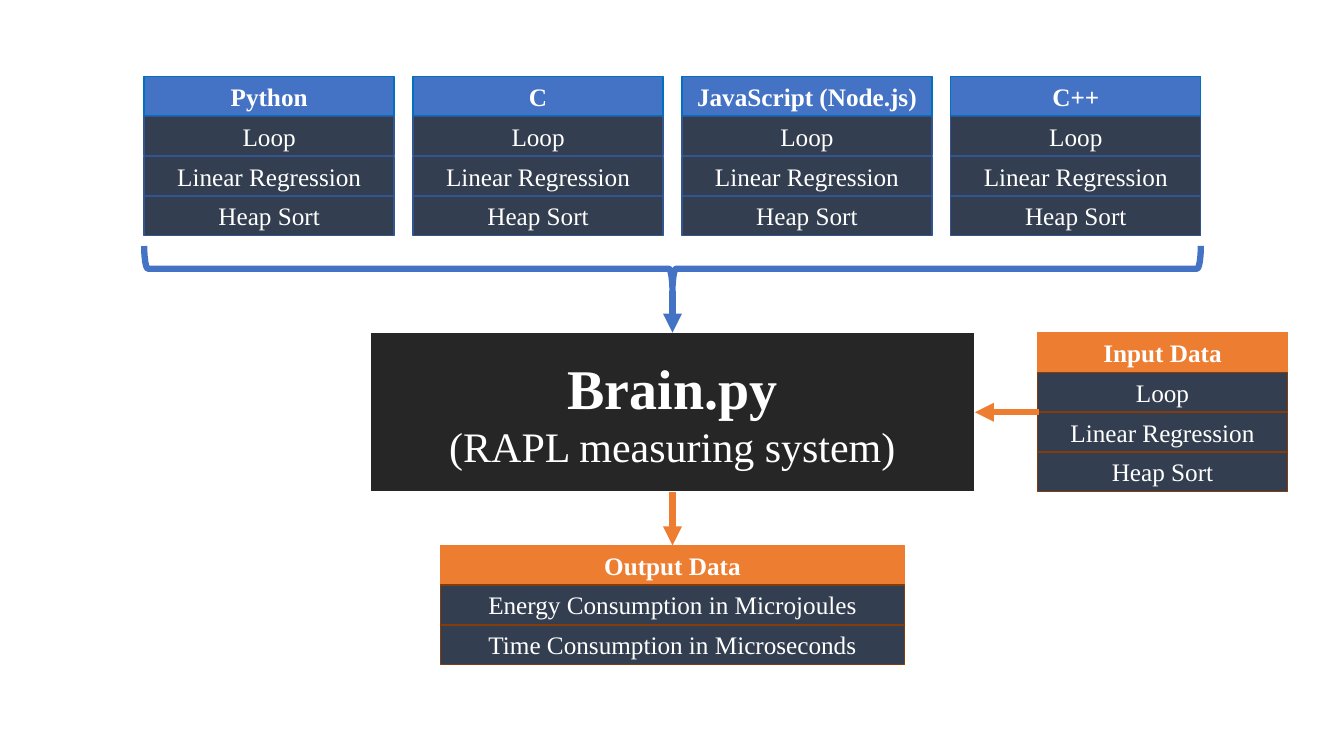
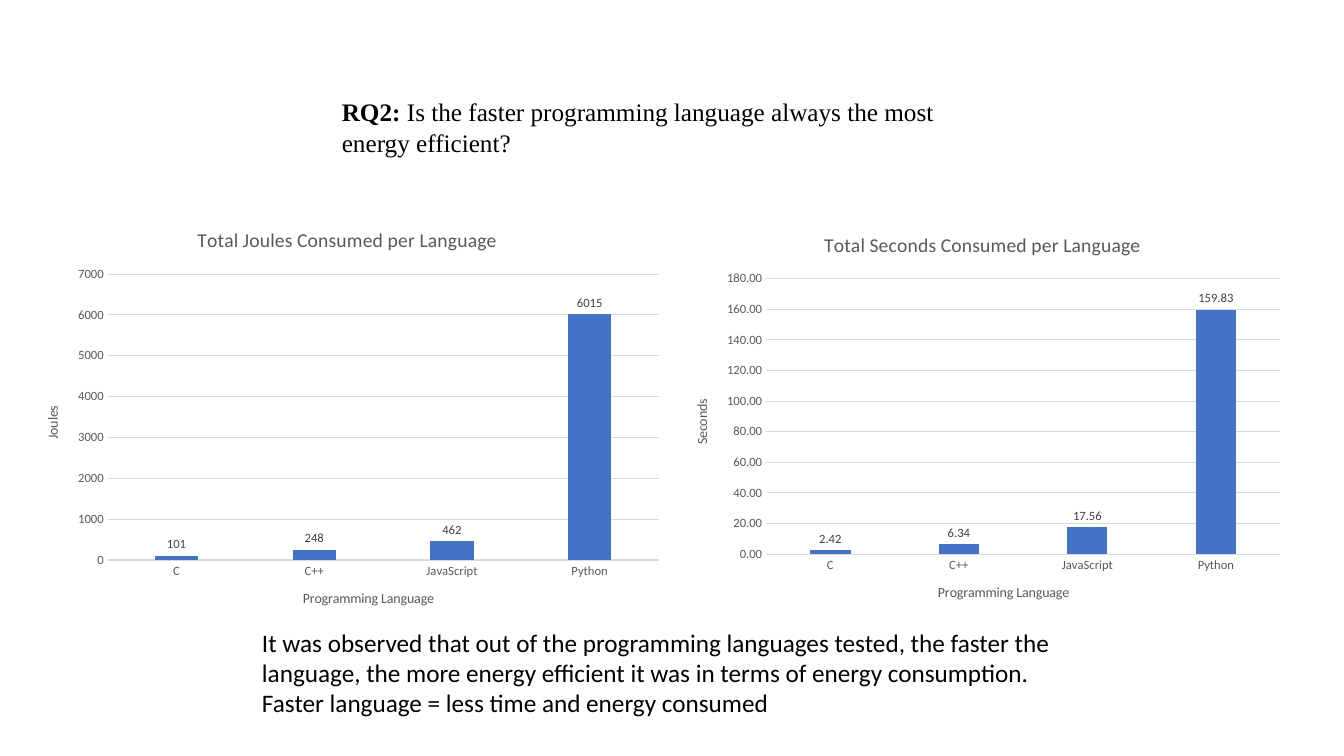
from lxml import etree
from pptx import Presentation
from pptx import util as u
from pptx.chart import data as chart_data
from pptx.dml import color as dml
from pptx.enum import chart as charts, shapes, text
from pptx.oxml import ns

PX = 9144
SERIF, SANS = "Times New Roman", "Calibri"
WHITE, BLACK, BLUE, ORANGE = "FFFFFF", "000000", "4472C4", "ED7D31"
SLATE, CHARCOAL, GREY, PALE = "333F50", "262626", "595959", "D9D9D9"
LEFT, CENTER = text.PP_ALIGN.LEFT, text.PP_ALIGN.CENTER

LANGUAGE_STYLE = {"head": BLUE, "head_line": "0070C0", "row_line": "325491"}
DATA_STYLE = {"head": ORANGE, "head_line": ORANGE, "row_line": "843C0B"}
LANGUAGES = ["Python", "C", "JavaScript (Node.js)", "C++"]
TESTS = ["Loop", "Linear Regression", "Heap Sort"]
OUTPUTS = ["Energy Consumption in Microjoules", "Time Consumption in Microseconds"]
STACK_WIDTH, ROW_HEIGHT = 248, 39
STACKS_LEFT, STACKS_RIGHT = 143, 1191
BRAIN = (367, 330, 600, 158)

QUESTION = [("RQ2:", True), (" Is the faster programming language always the most energy efficient?", False)]
FINDINGS = [
    "It was observed that out of the programming languages tested, the faster the language, "
    "the more energy efficient it was in terms of energy consumption.",
    "Faster language = less time and energy consumed",
]
CATEGORIES = ["C", "C++", "JavaScript", "Python"]
CHARTS = [
    {"at": (23, 207, 643, 416), "unit": "Joules", "format": "0",
     "values": [101, 248, 462, 6015], "top": 7000, "step": 1000},
    {"at": (667, 212, 615, 405), "unit": "Seconds", "format": "0.00",
     "values": [2.42, 6.34, 17.56, 159.83], "top": 180, "step": 20},
]


def px(*lengths):
    return [u.Emu(round(length * PX)) for length in lengths]


def rgb(value):
    return dml.RGBColor.from_string(value)


def style_font(font, size, color, name):
    font.size, font.name = u.Pt(size), name
    font.color.rgb = rgb(color)


def write(para, words, size=18, color=BLACK, name=SANS, bold=False, align=None):
    span = para.add_run()
    span.text = words
    style_font(span.font, size, color, name)
    span.font.bold = bold
    if align is not None:
        para.alignment = align


def style_line(line, color, width):
    line.color.rgb = rgb(color)
    line.width = u.Pt(width)


def add_box(page, at, fill, line, lines):
    box = page.shapes.add_shape(shapes.MSO_SHAPE.RECTANGLE, *px(*at))
    box.shadow.inherit = False
    box.fill.solid()
    box.fill.fore_color.rgb = rgb(fill)
    style_line(box.line, line, 1)
    frame = box.text_frame
    frame.word_wrap = True
    frame.vertical_anchor = text.MSO_ANCHOR.MIDDLE
    for index, (words, size, bold) in enumerate(lines):
        para = frame.add_paragraph() if index else frame.paragraphs[0]
        write(para, words, size=size, color=WHITE, name=SERIF, bold=bold, align=CENTER)
    return box


def add_stack(page, left, top, width, heading, rows, style):
    header = add_box(page, (left, top, width, ROW_HEIGHT), style["head"],
                     style["head_line"], [(heading, 18, True)])
    for index, row in enumerate(rows, 1):
        row_top = top + index * (ROW_HEIGHT + 0.5)
        add_box(page, (left, row_top, width, ROW_HEIGHT), SLATE, style["row_line"], [(row, 18, False)])
    return header


def add_arrow(page, start, end, color):
    arrow = page.shapes.add_connector(shapes.MSO_CONNECTOR.STRAIGHT, *px(*start, *end))
    style_line(arrow.line, color, 4.5)
    properties = arrow.element.spPr
    etree.SubElement(properties.find(ns.qn("a:ln")), ns.qn("a:tailEnd"), type="triangle")
    etree.SubElement(properties, ns.qn("a:effectLst"))
    return arrow


def add_brace(page, left, top, width, height):
    brace = page.shapes.add_shape(
        shapes.MSO_SHAPE.LEFT_BRACE,
        *px(left + (width - height) / 2, top + (height - width) / 2, height, width))
    brace.rotation = 270
    brace.shadow.inherit = False
    brace.fill.background()
    style_line(brace.line, BLUE, 4.5)


def build_system(deck):
    page = deck.slides.add_slide(deck.slide_layouts[6])
    left, top, width, height = BRAIN
    middle, center = top + height / 2, left + width / 2
    brain = add_box(page, BRAIN, CHARCOAL, WHITE,
                    [("Brain.py", 40, True), ("(RAPL measuring system)", 30, False)])
    pitch = (STACKS_RIGHT - STACKS_LEFT - STACK_WIDTH) / (len(LANGUAGES) - 1)
    for index, language in enumerate(LANGUAGES):
        add_stack(page, STACKS_LEFT + index * pitch, 76, STACK_WIDTH, language, TESTS, LANGUAGE_STYLE)
    add_stack(page, 1029, top, STACK_WIDTH, "Input Data", TESTS, DATA_STYLE)
    output = add_stack(page, 437, 541, 460, "Output Data", OUTPUTS, DATA_STYLE)
    add_brace(page, STACKS_LEFT, 244, STACKS_RIGHT - STACKS_LEFT, 45)
    add_arrow(page, (1030, middle), (left + width, middle), ORANGE).end_connect(brain, 3)
    add_arrow(page, (center, 289), (center, top), BLUE).end_connect(brain, 0)
    result = add_arrow(page, (center, top + height), (center, 541), ORANGE)
    result.begin_connect(brain, 2)
    result.end_connect(output, 0)


def style_axis(axis, title):
    axis.major_tick_mark = axis.minor_tick_mark = charts.XL_TICK_MARK.NONE
    style_font(axis.tick_labels.font, 9, GREY, SANS)
    write(axis.axis_title.text_frame.paragraphs[0], title, size=10, color=GREY)


def add_column_chart(page, item):
    data = chart_data.CategoryChartData(number_format=item["format"])
    data.categories = CATEGORIES
    data.add_series("Series 1", item["values"])
    chart = page.shapes.add_chart(charts.XL_CHART_TYPE.COLUMN_CLUSTERED, *px(*item["at"]), data).chart
    style_font(chart.font, 10, BLACK, SANS)
    chart.has_legend = False
    write(chart.chart_title.text_frame.paragraphs[0],
          f"Total {item['unit']} Consumed per Language", size=14, color=GREY)

    style_axis(chart.category_axis, "Programming Language")
    style_line(chart.category_axis.format.line, PALE, 0.75)
    values = chart.value_axis
    style_axis(values, item["unit"])
    values.axis_title.element.find(".//" + ns.qn("a:bodyPr")).set("rot", "-5400000")
    values.format.line.fill.background()
    style_line(values.major_gridlines.format.line, PALE, 0.75)
    values.minimum_scale, values.maximum_scale = 0, item["top"]
    values.major_unit = item["step"]
    values.tick_labels.number_format = item["format"]
    values.tick_labels.number_format_is_linked = False

    plot = chart.plots[0]
    plot.vary_by_categories = False
    plot.gap_width, plot.overlap = 219, -27
    series = plot.series[0]
    series.format.fill.solid()
    series.format.fill.fore_color.rgb = rgb(BLUE)
    labels = series.data_labels
    labels.show_value = True
    labels.position = charts.XL_LABEL_POSITION.OUTSIDE_END
    labels.number_format = item["format"]
    labels.number_format_is_linked = False
    style_font(labels.font, 9, "404040", SANS)


def build_results(deck):
    page = deck.slides.add_slide(deck.slide_layouts[5])
    title = page.shapes.title
    title.left, title.top, title.width, title.height = px(329, 91, 675, 101)
    frame = title.text_frame
    frame.word_wrap = True
    frame.auto_size = text.MSO_AUTO_SIZE.NONE
    frame.vertical_anchor = text.MSO_ANCHOR.TOP
    for words, bold in QUESTION:
        write(frame.paragraphs[0], words, name=SERIF, bold=bold, align=LEFT)
    for item in CHARTS:
        add_column_chart(page, item)
    frame = page.shapes.add_textbox(*px(250, 617, 885, 101)).text_frame
    frame.word_wrap = True
    for index, finding in enumerate(FINDINGS):
        write(frame.add_paragraph() if index else frame.paragraphs[0], finding)


def main():
    deck = Presentation()
    deck.slide_width, deck.slide_height = px(1333, 750)
    build_system(deck)
    build_results(deck)
    deck.save("out.pptx")


if __name__ == "__main__":
    main()
